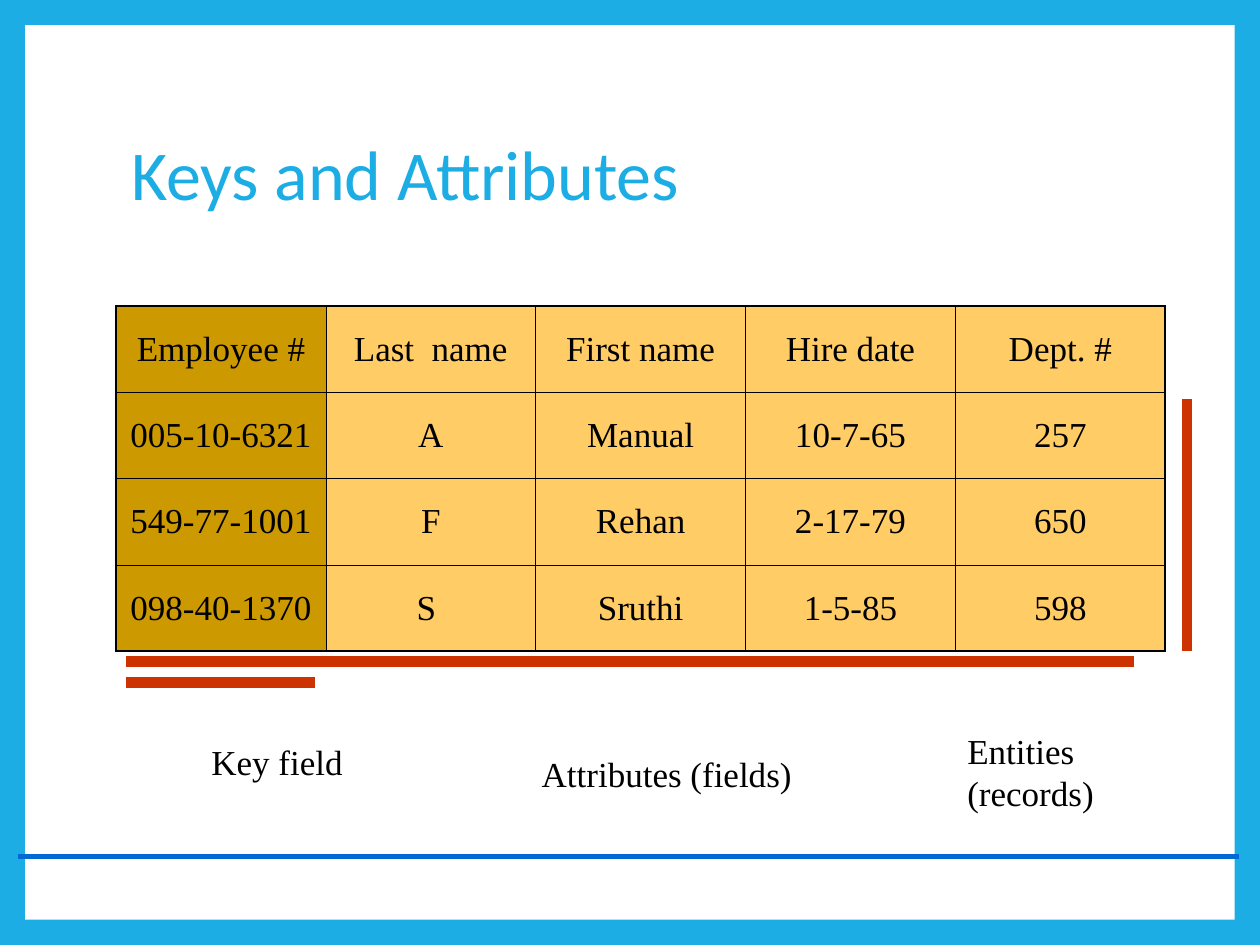
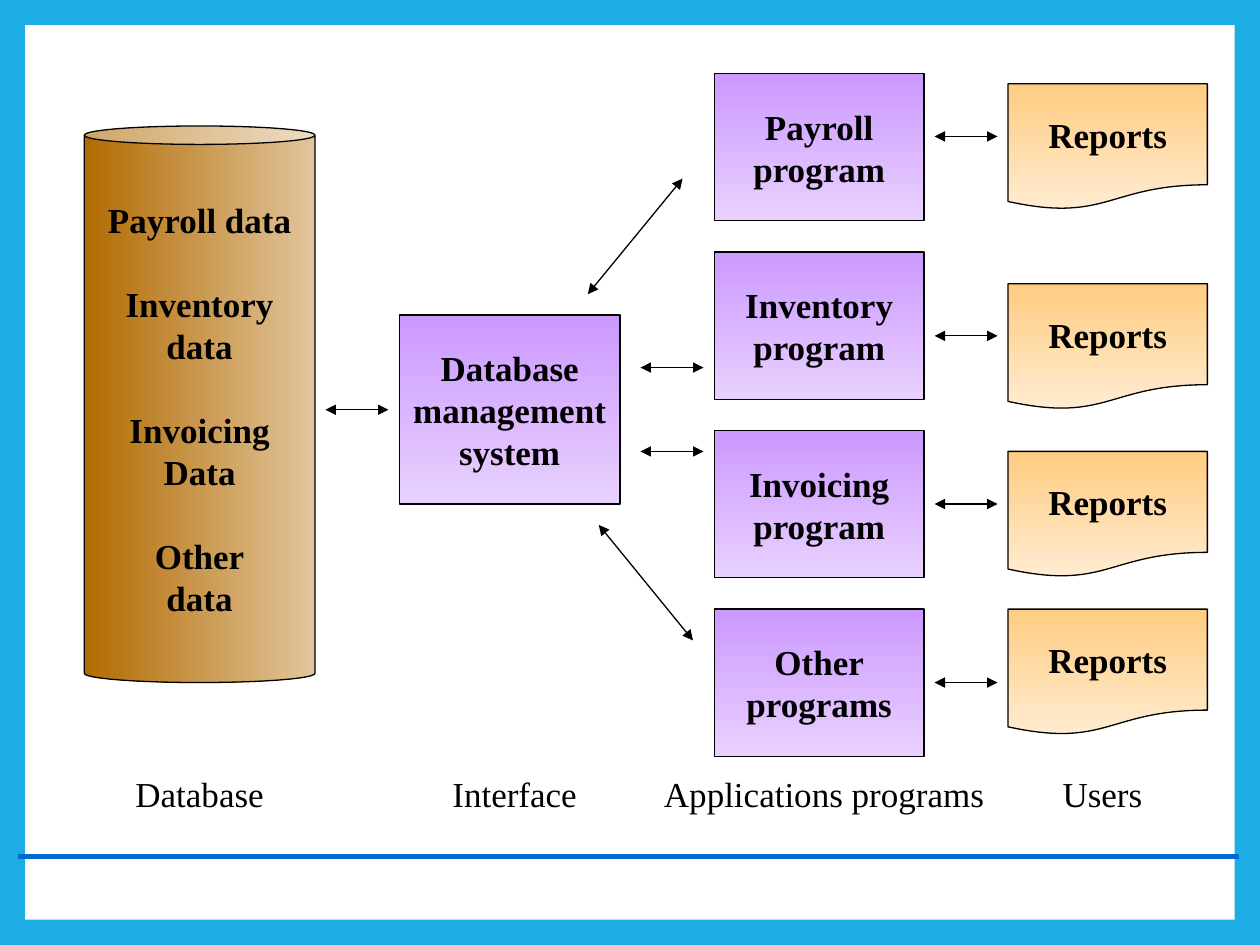
from lxml import etree
from pptx import Presentation
from pptx.dml.color import RGBColor
from pptx.enum import shapes, text
from pptx.oxml import ns
from pptx.util import Cm, Pt

# Colours
BLUE = RGBColor(0x1C, 0xAD, 0xE4)
RULE_BLUE = RGBColor(0x00, 0x69, 0xD2)
WHITE = RGBColor(0xFF, 0xFF, 0xFF)
BLACK = RGBColor(0x00, 0x00, 0x00)
RED = RGBColor(0xCC, 0x33, 0x00)
KEY_FILL = RGBColor(0xCC, 0x99, 0x00)
CELL_FILL = RGBColor(0xFF, 0xCC, 0x66)
BROWN = (RGBColor(0xB2, 0x6B, 0x02), RGBColor(0xE1, 0xC5, 0x9C))
PURPLE = (RGBColor(0xCC, 0x99, 0xFF), RGBColor(0xE8, 0xD1, 0xFF))
ORANGE = (RGBColor(0xFF, 0xCC, 0x81), RGBColor(0xFF, 0xEC, 0xD1))

# Text formats
TITLE = {"name": "Calibri", "size": Pt(40), "bold": False}
BODY = {"name": "Times New Roman", "size": Pt(20), "bold": False}
BOLD = {**BODY, "bold": True}

LEFT, CENTER = text.PP_ALIGN.LEFT, text.PP_ALIGN.CENTER
MIDDLE = text.MSO_ANCHOR.MIDDLE
SHAPE = shapes.MSO_SHAPE
TITLE_ONLY, BLANK = 5, 6
DOWN, RIGHT = 270, 0


def cm(*values):
    return [Cm(v) for v in values]


class Deck:
    def __init__(self):
        self.prs = Presentation()
        self.prs.slide_width, self.prs.slide_height = cm(25.4, 19.05)
        self.s = None

    def new_slide(self, layout):
        self.s = self.prs.slides.add_slide(self.prs.slide_layouts[layout])

    def style_master(self):
        """Put the blue border, white page and bottom rule on the master."""
        master = self.prs.slide_master
        master.background.fill.solid()
        master.background.fill.fore_color.rgb = BLUE
        page = self.s.shapes.add_shape(SHAPE.RECTANGLE, *cm(0.51, 0.51, 24.38, 18.03))
        page.shadow.inherit = False
        page.fill.solid()
        page.fill.fore_color.rgb = WHITE
        page.line.fill.background()
        rule = self.line(0.36, 17.27, 24.97, 17.27, RULE_BLUE, 3)
        for i, sp in enumerate((page, rule)):
            sp.element.xpath("./*/p:cNvPr")[0].set("id", str(20 + i))
            master.shapes.element.insert(2 + i, sp.element)

    def put_text(self, tf, lines, fmt, color=BLACK, align=CENTER, gap=0):
        for i, content in enumerate(lines):
            p = tf.paragraphs[0] if i == 0 else tf.add_paragraph()
            p.text = content
            p.alignment = align
            if i and gap:
                p.space_before = Pt(gap)
            for r in p.runs:
                for key, value in fmt.items():
                    setattr(r.font, key, value)
                r.font.color.rgb = color

    def title(self, content, *box):
        sp = self.s.shapes.title
        sp.left, sp.top, sp.width, sp.height = cm(*box)
        sp.text_frame.vertical_anchor = MIDDLE
        self.put_text(sp.text_frame, [content], TITLE, BLUE, LEFT)
        sp.text_frame.paragraphs[0].line_spacing = 0.9

    def label(self, content, *box, align=CENTER):
        tf = self.s.shapes.add_textbox(*cm(*box)).text_frame
        tf.word_wrap = True
        self.put_text(tf, [content], BODY, align=align)

    def block(self, kind, lines, box, colors, angle=DOWN, gap=0):
        sp = self.s.shapes.add_shape(kind, *cm(*box))
        sp.shadow.inherit = False
        sp.fill.gradient()
        sp.fill.gradient_angle = angle
        for i, (stop, color) in enumerate(zip(sp.fill.gradient_stops, colors)):
            stop.color.rgb = color
            stop.position = i
        sp.line.color.rgb = BLACK
        sp.line.width = Pt(0.75)
        tf = sp.text_frame
        tf.word_wrap = False
        tf.vertical_anchor = MIDDLE
        self.put_text(tf, lines, BOLD, gap=gap)
        return sp

    def line(self, x1, y1, x2, y2, color, width):
        sp = self.s.shapes.add_connector(
            shapes.MSO_CONNECTOR.STRAIGHT, *cm(x1, y1, x2, y2))
        sp.line.color.rgb = color
        sp.line.width = Pt(width)
        etree.SubElement(sp.element.spPr, ns.qn("a:effectLst"))
        return sp

    def arrow(self, *ends):
        ln = self.line(*ends, BLACK, 0.75).element.spPr.find(ns.qn("a:ln"))
        for tag in ("a:headEnd", "a:tailEnd"):
            etree.SubElement(ln, ns.qn(tag), type="triangle")

    def border(self, cell, side, width):
        ln = etree.SubElement(cell._tc.get_or_add_tcPr(), ns.qn("a:ln" + side),
                              w=str(Pt(width)))
        fill = etree.SubElement(ln, ns.qn("a:solidFill"))
        etree.SubElement(fill, ns.qn("a:srgbClr"), val=str(BLACK))

    def table(self, rows, left, top, col_width, row_height):
        n_rows, n_cols = len(rows), len(rows[0])
        table = self.s.shapes.add_table(
            n_rows, n_cols,
            *cm(left, top, n_cols * col_width, n_rows * row_height)).table
        for col in table.columns:
            col.width = Cm(col_width)
        for y, row in enumerate(rows):
            table.rows[y].height = Cm(row_height)
            for x, content in enumerate(row):
                cell = table.cell(y, x)
                outer = {"L": x == 0, "R": x == n_cols - 1,
                         "T": y == 0, "B": y == n_rows - 1}
                for side, is_outer in outer.items():
                    self.border(cell, side, 1.08 if is_outer else 0.45)
                cell.fill.solid()
                cell.fill.fore_color.rgb = CELL_FILL if x else KEY_FILL
                cell.vertical_anchor = MIDDLE
                self.put_text(cell.text_frame, [content], BODY)


def keys_slide(deck):
    deck.title("Keys and Attributes", 2.39, 1.7, 20.57, 3.76)

    # Captions
    deck.label("Key field", 4.01, 14.81, 4.04, 1.27, align=LEFT)
    deck.label("Attributes (fields)", 10.67, 15.04, 6.68, 1.27, align=LEFT)
    deck.label("Entities\v(records)", 19.25, 14.58, 3.33, 1.93, align=LEFT)

    # Bars marking key, attributes and entities
    for ends in ((2.54, 13.76, 6.35, 13.76), (2.54, 13.33, 22.86, 13.33),
                 (23.93, 8.05, 23.93, 13.13)):
        deck.line(*ends, RED, 6)

    # Employee records
    deck.table([
        ("Employee #", "Last  name", "First name", "Hire date", "Dept. #"),
        ("005-10-6321", "A", "Manual", "10-7-65", "257"),
        ("549-77-1001", "F", "Rehan", "2-17-79", "650"),
        ("098-40-1370", "S ", "Sruthi", "1-5-85", "598"),
    ], 2.34, 6.17, 4.23, 1.74)


def dbms_slide(deck):
    # Database and its interface
    can = deck.block(SHAPE.CAN,
                     ["Payroll data", "Inventory\vdata", "Invoicing\vData",
                      "Other\vdata"],
                     (1.7, 2.54, 4.65, 11.22), BROWN, RIGHT, gap=24)
    can.adjustments[0] = 0.08
    deck.block(SHAPE.RECTANGLE, ["Database", "management", "system"],
               (8.05, 6.35, 4.45, 3.81), PURPLE)

    # Programs
    programs = (("Payroll", "program"), ("Inventory", "program"),
                ("Invoicing", "program"), ("Other", "programs"))
    for i, lines in enumerate(programs):
        deck.block(SHAPE.RECTANGLE, lines, (14.4, 1.48 + 3.6 * i, 4.23, 2.97), PURPLE)

    # Reports, each with the arrow from its program
    for top, arrow_y in ((1.69, 2.75), (5.72, 6.77), (9.1, 10.16), (12.28, 13.76)):
        deck.block(SHAPE.FLOWCHART_DOCUMENT, ["Reports"],
                   (20.32, top, 4.02, 2.54), ORANGE)
        deck.arrow(18.84, arrow_y, 20.11, arrow_y)

    # Arrows around the interface
    for ends in ((6.56, 8.26, 7.83, 8.26), (12.91, 7.41, 14.18, 7.41),
                 (12.91, 9.1, 14.18, 9.1), (11.85, 5.93, 13.76, 3.6),
                 (12.07, 10.58, 13.97, 12.91)):
        deck.arrow(*ends)

    # Column captions
    for caption, left, width in (("Database", 1.7, 4.65), ("Interface", 8.05, 4.65),
                                 ("Applications programs", 12.91, 7.41),
                                 ("Users", 19.9, 4.65)):
        deck.label(caption, left, 15.45, width, 1.12)


def main():
    deck = Deck()
    deck.new_slide(TITLE_ONLY)
    deck.style_master()
    keys_slide(deck)
    deck.new_slide(BLANK)
    dbms_slide(deck)
    deck.prs.save("out.pptx")


if __name__ == "__main__":
    main()
